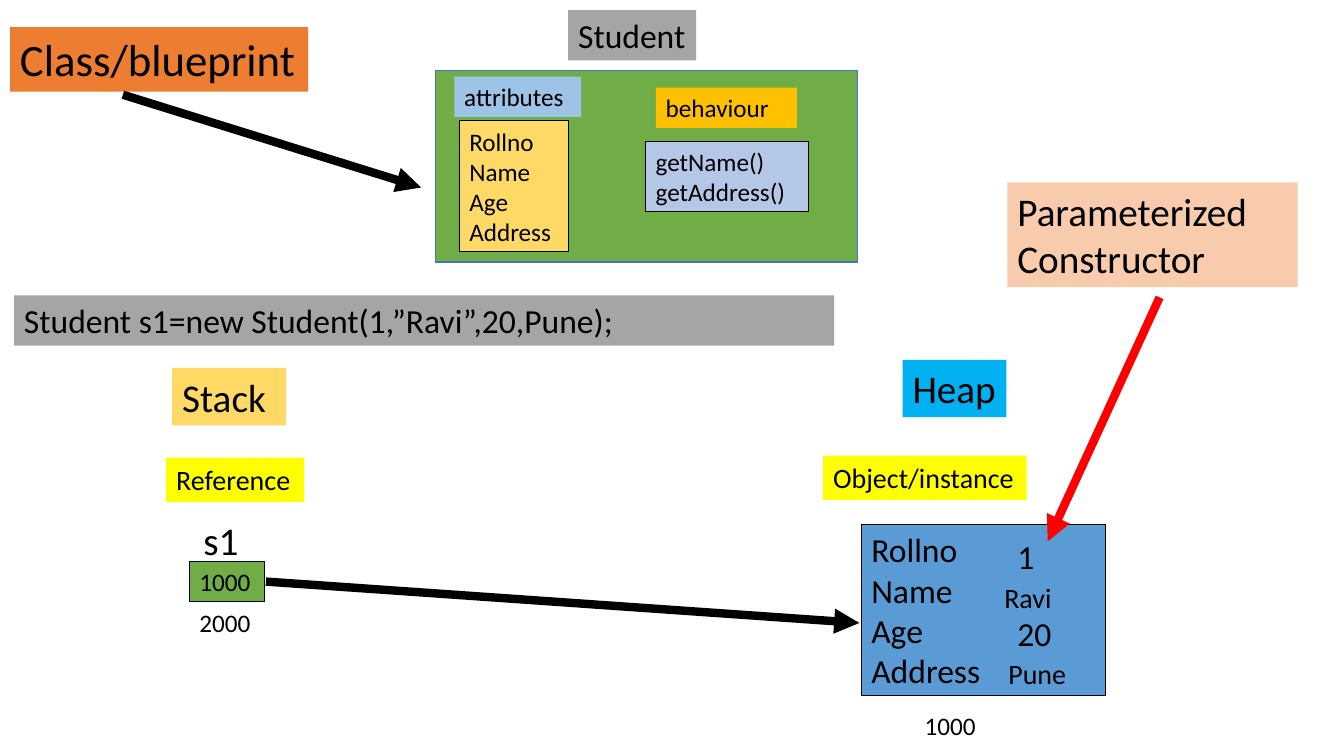
import pptx
import pptx.dml.color
import pptx.enum.shapes
import pptx.enum.text
import pptx.oxml.ns
import pptx.util
from lxml import etree
from pptx.util import Inches

BLACK, RED, YELLOW = "000000", "FF0000", "FFFF00"
GREEN, GOLD, GRAY = "70AD47", "FFD966", "A5A5A5"


def color(hex_string):
    return pptx.dml.color.RGBColor.from_string(hex_string)


class Diagram:
    """Holds the text style and the slide being drawn."""

    font = "Calibri"
    border_width = 0.74
    arrow_width = 6

    def __init__(self, slide):
        self.slide = slide

    def set_text(self, shape, text, size):
        frame = shape.text_frame
        frame.word_wrap = True
        frame.vertical_anchor = pptx.enum.text.MSO_ANCHOR.TOP
        frame.text = text
        for paragraph in frame.paragraphs:
            paragraph.alignment = pptx.enum.text.PP_ALIGN.LEFT
            for run in paragraph.runs:
                run.font.name = self.font
                run.font.size = pptx.util.Pt(size)
                run.font.color.rgb = color(BLACK)

    def box(self, left, top, width, height, fill, text="", size=18, border=None):
        shape = self.slide.shapes.add_shape(
            pptx.enum.shapes.MSO_SHAPE.RECTANGLE,
            Inches(left), Inches(top), Inches(width), Inches(height))
        shape.shadow.inherit = False
        shape.fill.solid()
        shape.fill.fore_color.rgb = color(fill)
        if border:
            shape.line.color.rgb = color(border)
            shape.line.width = pptx.util.Pt(self.border_width)
        else:
            shape.line.fill.background()
        if text:
            self.set_text(shape, text, size)

    def label(self, left, top, width, height, text, size=18):
        shape = self.slide.shapes.add_textbox(
            Inches(left), Inches(top), Inches(width), Inches(height))
        self.set_text(shape, text, size)

    def arrow(self, start, end, line_color=BLACK):
        connector = self.slide.shapes.add_connector(
            pptx.enum.shapes.MSO_CONNECTOR.STRAIGHT,
            *(Inches(value) for value in (*start, *end)))
        connector.line.color.rgb = color(line_color)
        connector.line.width = pptx.util.Pt(self.arrow_width)
        qualified = pptx.oxml.ns.qn
        properties = connector.element.spPr
        etree.SubElement(properties.find(qualified("a:ln")),
                         qualified("a:tailEnd"), type="triangle")
        etree.SubElement(properties, qualified("a:effectLst"))


presentation = pptx.Presentation()
presentation.slide_width = Inches(13.34)
presentation.slide_height = Inches(7.5)
blank_layout = presentation.slide_layouts[6]
diagram = Diagram(presentation.slides.add_slide(blank_layout))
fields = "Rollno\nName\nAge\nAddress"

# Class blueprint with its attributes and behaviour
diagram.box(4.32, 0.7, 4.19, 1.9, GREEN, border="4472C4")
diagram.box(5.64, 0.1, 1.27, 0.5, GRAY, "Student", 24)
diagram.box(0.1, 0.27, 2.96, 0.64, "ED7D31", "Class/blueprint", 32)
diagram.arrow((1.22, 0.94), (4.18, 1.86))
diagram.box(4.56, 1.2, 1.08, 1.3, GOLD, fields, border=BLACK)
diagram.box(4.51, 0.76, 1.26, 0.4, "9DC3E6", "attributes")
diagram.box(6.41, 1.4, 1.62, 0.7, "B4C7E7", "getName()\ngetAddress()", border=BLACK)
diagram.box(6.51, 0.87, 1.4, 0.4, "FFC000", "behaviour")

# Statement that creates the object
diagram.box(0.14, 2.93, 8.14, 0.5, GRAY, "Student s1=new Student(1,”Ravi”,20,Pune);", 24)

# Stack: the reference s1
diagram.box(1.71, 3.65, 1.13, 0.57, GOLD, "Stack", 28)
diagram.box(1.65, 4.54, 1.37, 0.44, YELLOW, "Reference", 20)
diagram.label(1.92, 5.07, 0.7, 0.57, "s1", 28)
diagram.box(1.88, 5.57, 0.75, 0.4, GREEN, "1000", border=BLACK)
diagram.label(1.88, 5.98, 0.75, 0.4, "2000")

# Heap: the object and its address
diagram.box(8.96, 3.57, 1.03, 0.57, "00B0F0", "Heap", 28)
diagram.box(8.17, 4.52, 2.02, 0.44, YELLOW, "Object/instance", 20)
diagram.box(8.55, 5.2, 2.42, 1.7, "5B9BD5", fields, 24, border=BLACK)
diagram.label(9.08, 7, 0.75, 0.4, "1000")
diagram.arrow((2.64, 5.77), (8.53, 6.18))

# Constructor that fills the object
diagram.box(10, 1.81, 2.88, 1.04, "F8CBAD", "Parameterized Constructor", 28)
diagram.arrow((11.51, 2.95), (10.4, 5.37), RED)

# Values held by the object
for left, top, width, height, value, size in (
        (10, 5.27, 0.46, 0.5, "1", 24),
        (9.87, 5.71, 0.82, 0.44, "Ravi", 20),
        (10, 6.03, 0.57, 0.5, "20", 24),
        (9.91, 6.46, 0.82, 0.44, "Pune", 20)):
    diagram.label(left, top, width, height, value, size)

presentation.save("out.pptx")
